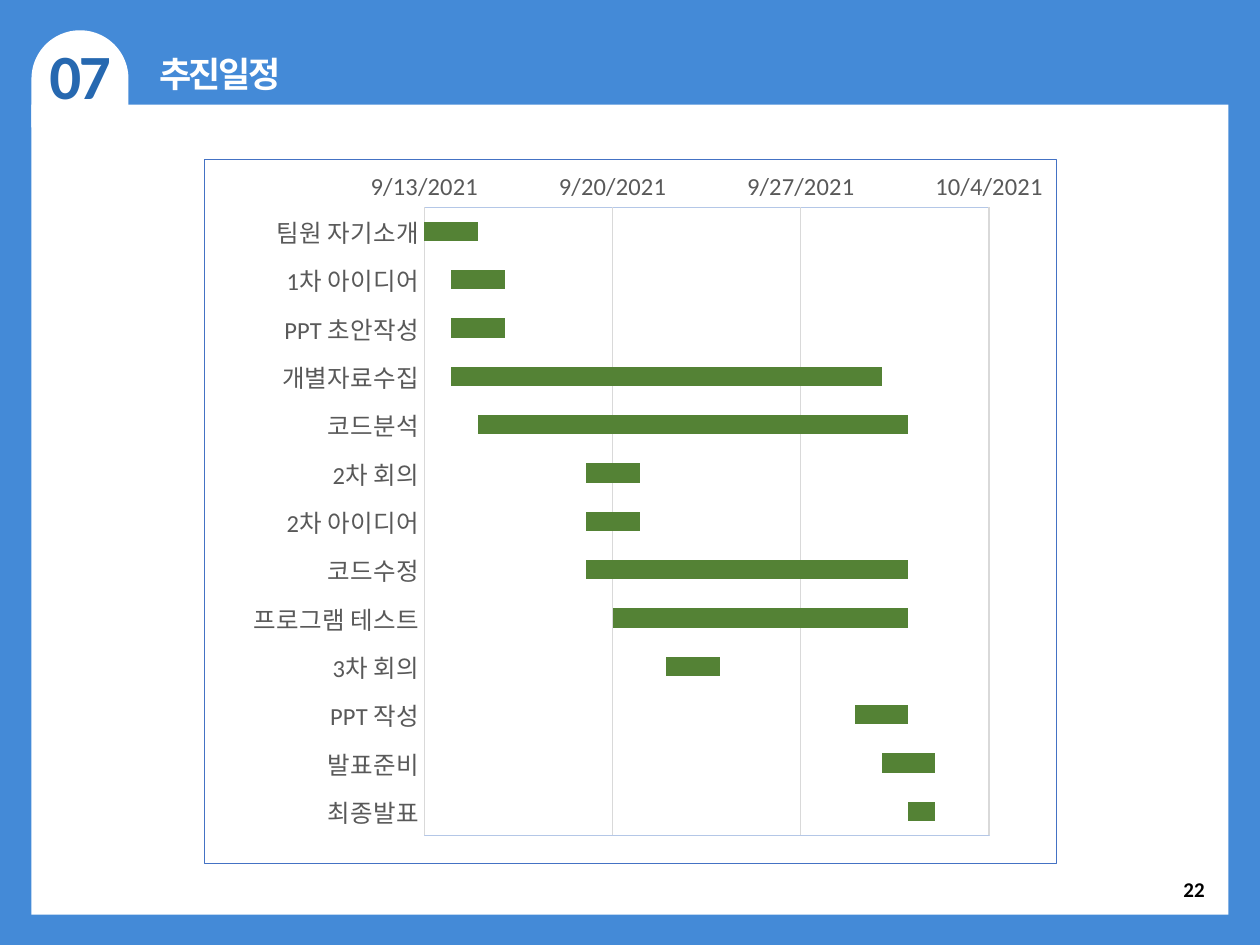
from dataclasses import dataclass

from lxml import etree
from pptx import Presentation, util as u
from pptx.chart.data import CategoryChartData
from pptx.dml.color import RGBColor
from pptx.enum import chart as ch, shapes, text
from pptx.oxml import ns


@dataclass(frozen=True)
class Theme:
    blue: str = "448AD7"
    navy: str = "2668B0"
    white: str = "FFFFFF"
    black: str = "000000"
    gray: str = "595959"
    grid: str = "D9D9D9"
    frame: str = "4472C4"
    edge: str = "B4C7E7"
    bar: str = "548235"
    latin: str = "Calibri"
    head: str = "Arial"
    badge: int = 36
    title: int = 20
    axis: int = 14
    page: int = 12
    base: int = 10


T = Theme()
WIDE, HIGH = u.Inches(10), u.Inches(7.5)
START, END, WEEK = 44452, 44473, 7
TASKS = [
    ("팀원 자기소개", 0, 2),
    ("1차 아이디어", 1, 2),
    ("PPT 초안작성", 1, 2),
    ("개별자료수집", 1, 16),
    ("코드분석", 2, 16),
    ("2차 회의", 6, 2),
    ("2차 아이디어", 6, 2),
    ("코드수정", 6, 12),
    ("프로그램 테스트", 7, 11),
    ("3차 회의", 9, 2),
    ("PPT 작성", 16, 2),
    ("발표준비", 17, 2),
    ("최종발표", 18, 1),
]


def rgb(tone):
    return RGBColor.from_string(tone)


def area(x, y, w, h):
    return [int(part * size / 100) for part, size in zip((x, y, w, h), (WIDE, HIGH) * 2)]


def block(slide, kind, box, tone, turn=0):
    shape = slide.shapes.add_shape(kind, *area(*box))
    shape.shadow.inherit = False
    shape.fill.solid()
    shape.fill.fore_color.rgb = rgb(tone)
    shape.line.fill.background()
    shape.rotation = turn


def style(font, size, tone, name=T.latin, bold=False):
    font.size = u.Pt(size)
    font.name = name
    font.bold = bold
    font.color.rgb = rgb(tone)


def write(shape, words, size, tone, name=T.latin, align="CENTER", anchor="TOP", tight=0):
    frame = shape.text_frame
    frame.text = words
    frame.word_wrap = True
    frame.auto_size = text.MSO_AUTO_SIZE.NONE
    frame.vertical_anchor = text.MSO_ANCHOR[anchor]
    line = frame.paragraphs[0]
    line.alignment = text.PP_ALIGN[align]
    for run in line.runs:
        style(run.font, size, tone, name, True)
        if tight:
            run.font._element.set("spc", str(tight))


def label(slide, box, *args, **rest):
    write(slide.shapes.add_textbox(*area(*box)), *args, **rest)


def head(slide, box, words):
    shape = slide.shapes.title
    shape.left, shape.top, shape.width, shape.height = area(*box)
    write(shape, words, T.title, T.white, T.head, tight=-150)
    slide.shapes._spTree.append(shape._element)


def skin(fill, line):
    paint = f'<a:solidFill><a:srgbClr val="{fill}"/></a:solidFill>' if fill else "<a:noFill/>"
    return etree.fromstring(
        f'<c:spPr {ns.nsdecls("c", "a")}>{paint}<a:ln w="9525"><a:solidFill>'
        f'<a:srgbClr val="{line}"/></a:solidFill></a:ln></c:spPr>')


def place(chart, x, y, w, h):
    plot = chart._chartSpace.chart.plotArea
    for old in plot.findall(ns.qn("c:layout")):
        plot.remove(old)
    spots = "".join(f'<c:{key} val="{val}"/>' for key, val in (
        ("layoutTarget", "inner"), ("xMode", "edge"), ("yMode", "edge"),
        ("x", x), ("y", y), ("w", w), ("h", h)))
    plot.insert(0, etree.fromstring(
        f'<c:layout {ns.nsdecls("c")}><c:manualLayout>{spots}</c:manualLayout></c:layout>'))
    plot.append(skin(None, T.edge))


def axes(chart):
    rows, days = chart.category_axis, chart.value_axis
    for axis in (rows, days):
        axis.major_tick_mark = axis.minor_tick_mark = ch.XL_TICK_MARK.NONE
        style(axis.tick_labels.font, T.axis, T.gray)
    rows.reverse_order = True
    days.minimum_scale, days.maximum_scale = START, END
    days.major_unit = WEEK
    days.tick_labels.number_format = "m/d/yyyy"
    days.tick_labels.number_format_is_linked = False
    days.format.line.fill.background()
    days.has_major_gridlines = True
    for line in (rows.format.line, days.major_gridlines.format.line):
        line.color.rgb = rgb(T.grid)
        line.width = u.Pt(0.75)


def gantt(slide, box):
    data = CategoryChartData()
    names, starts, spans = zip(*TASKS)
    data.categories = names
    data.add_series("Series 1", [START + day for day in starts])
    data.add_series("Series 2", spans)
    chart = slide.shapes.add_chart(ch.XL_CHART_TYPE.BAR_STACKED, *area(*box), data).chart
    chart.has_legend = chart.has_title = False
    style(chart.font, T.base, T.black)
    plot = chart.plots[0]
    plot.gap_width, plot.overlap = 150, 100
    plot.vary_by_categories = False
    wait, work = plot.series
    wait.format.fill.background()
    work.format.fill.solid()
    work.format.fill.fore_color.rgb = rgb(T.bar)
    axes(chart)
    place(chart, 0.258, 0.068, 0.663, 0.892)
    chart._chartSpace.chart.addnext(skin(T.white, T.frame))


def main():
    deck = Presentation()
    deck.slide_width, deck.slide_height = WIDE, HIGH
    slide = deck.slides.add_slide(deck.slide_layouts[5])
    kinds = shapes.MSO_SHAPE
    block(slide, kinds.RECTANGLE, (0, 0, 100, 100), T.blue)
    block(slide, kinds.FLOWCHART_DELAY, (2.5, 3.2, 7.7, 10.27), T.white, 270)
    block(slide, kinds.RECTANGLE, (2.5, 11.07, 95, 85.73), T.white)
    label(slide, (74.1, 91.47, 22.5, 5.33), "22", T.page, T.black, align="RIGHT", anchor="MIDDLE")
    label(slide, (2.9, 3.2, 6.9, 9.47), "07", T.badge, T.navy, tight=-150)
    head(slide, (9.8, 4.93, 15.3, 5.87), "추진일정")
    gantt(slide, (16.2, 16.8, 67.7, 74.67))
    deck.save("out.pptx")


if __name__ == "__main__":
    main()
